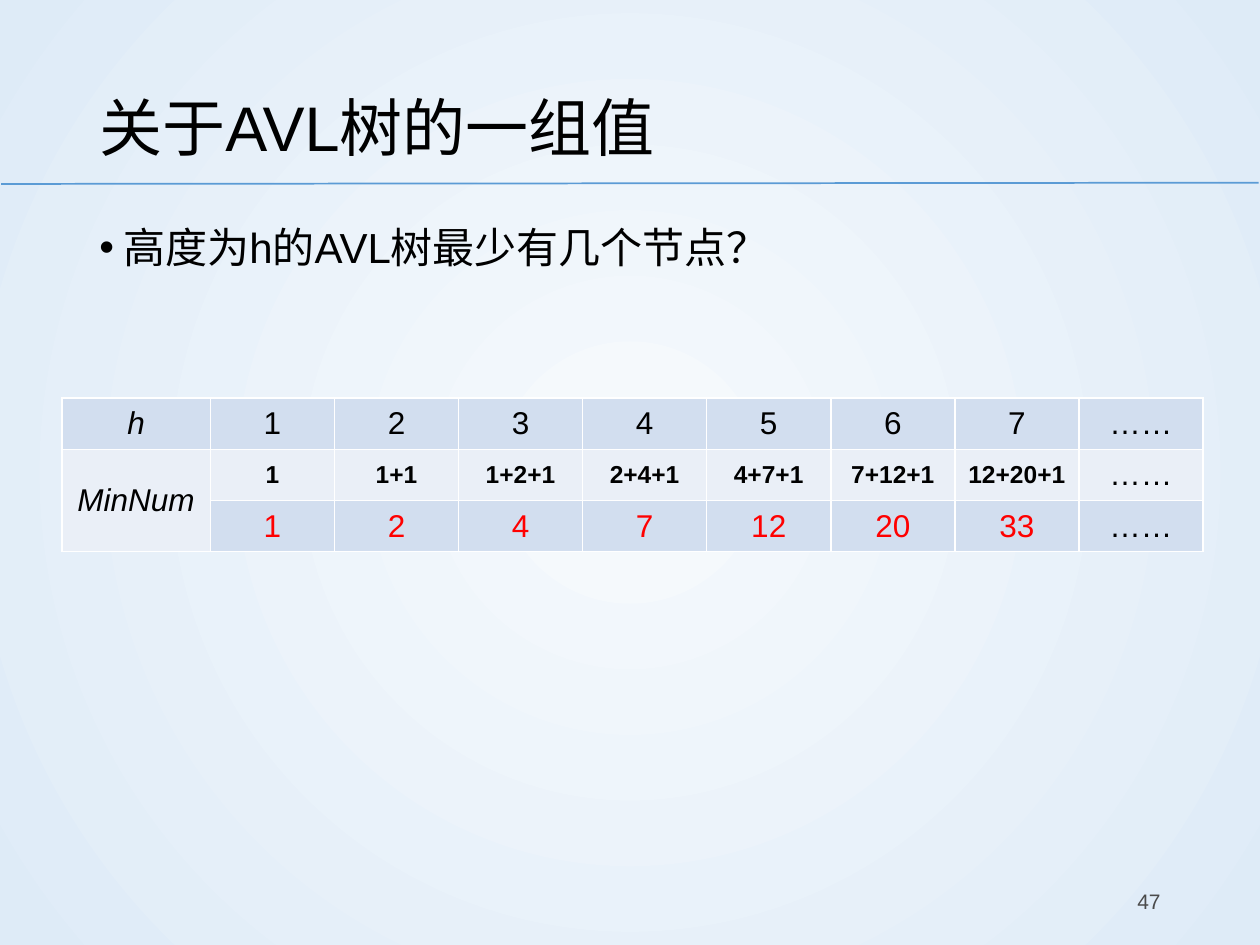
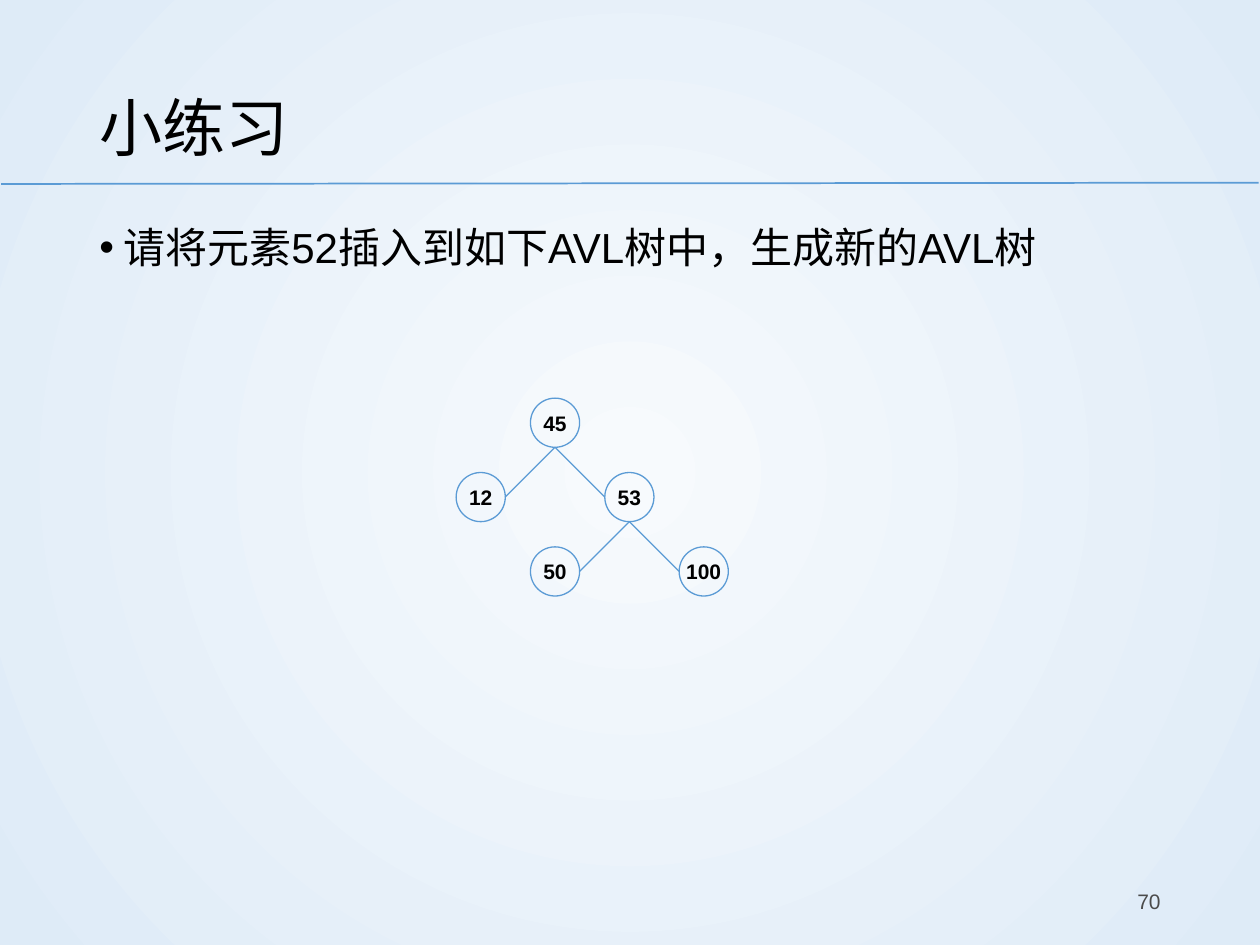
from lxml import etree
from pptx import Presentation
from pptx import util as u
from pptx.dml import color
from pptx.enum import shapes, text
from pptx.oxml import ns

FONT = "Arial"
BLACK, RED, GREY, WHITE, BLUE = "000000", "FF0000", "4B4B4B", "FFFFFF", "5B9BD5"
BAND_DARK, BAND_LIGHT = "D2DEEF", "EAEFF7"
BG_CENTRE, BG_EDGE = "F7FAFD", "DEEBF7"
ALIGN, ANCHOR = text.PP_ALIGN, text.MSO_ANCHOR

H_VALUES = ["1", "2", "3", "4", "5", "6", "7", "……"]
SUMS = ["1", "1+1", "1+2+1", "2+4+1", "4+7+1", "7+12+1", "12+20+1", "……"]
MIN_NODES = ["1", "2", "4", "7", "12", "20", "33", "……"]

TREE_NODES = {"45": (1, 0), "12": (0, 1), "53": (2, 1), "50": (1, 2), "100": (3, 2)}
TREE_EDGES = [("45", "12"), ("45", "53"), ("53", "50"), ("53", "100")]


def rgb(value):
    """Turn a hex string into a colour."""
    return color.RGBColor.from_string(value)


def sub(parent, tag, **attrs):
    """Append a DrawingML element to its parent."""
    return etree.SubElement(parent, ns.qn(tag), attrs)


def add_run(p, words, size, colour=BLACK, bold=False, italic=False):
    """Add one formatted run to a paragraph."""
    r = p.add_run()
    r.text = words
    r.font.name, r.font.size = FONT, u.Pt(size)
    r.font.bold, r.font.italic = bold, italic
    r.font.color.rgb = rgb(colour)


def add_text(s, box, words, size, anchor=ANCHOR.MIDDLE, align=ALIGN.LEFT, colour=BLACK,
             spacing=None, bullet=False):
    """Add a wrapped one-paragraph text box."""
    tf = s.shapes.add_textbox(*map(u.Inches, box)).text_frame
    tf.word_wrap, tf.vertical_anchor = True, anchor
    p = tf.paragraphs[0]
    p.alignment, p.line_spacing = align, spacing
    if bullet:
        pPr = p._p.get_or_add_pPr()
        pPr.set("marL", str(u.Inches(0.19)))
        pPr.set("indent", str(-u.Inches(0.19)))
        sub(pPr, "a:buFont", typeface=FONT)
        sub(pPr, "a:buChar", char="•")
    add_run(p, words, size, colour)


def add_line(s, start, end, width):
    """Draw a straight blue line without a shadow."""
    line = s.shapes.add_connector(shapes.MSO_CONNECTOR.STRAIGHT,
                                  *map(u.Inches, (*start, *end)))
    line.line.color.rgb, line.line.width = rgb(BLUE), u.Pt(width)
    sub(line._element.spPr, "a:effectLst")


def set_background(s):
    """Fill the slide with a circular gradient."""
    fill = s.background.fill
    fill.gradient()
    for stop, colour in zip(fill.gradient_stops, (BG_CENTRE, BG_EDGE)):
        stop.color.rgb = rgb(colour)
    grad = s.background._cSld.find(".//" + ns.qn("a:gradFill"))
    grad.remove(grad.find(ns.qn("a:lin")))
    path = sub(grad, "a:path", path="circle")
    sub(path, "a:fillToRect", l="50000", t="50000", r="50000", b="50000")


def add_base_slide(prs, title, bullet, number):
    """Add a slide with background, rule, title, bullet and page number."""
    s = prs.slides.add_slide(prs.slide_layouts[6])
    set_background(s)
    add_line(s, (0.01, 1.46), (9.99, 1.45), 1)
    add_text(s, (0.69, 0.4, 8.62, 1.08), title, 36, spacing=1.2)
    add_text(s, (0.69, 1.63, 8.62, 5.13), bullet, 24, ANCHOR.TOP, spacing=1.2, bullet=True)
    add_text(s, (7.06, 6.95, 2.25, 0.4), number, 12, align=ALIGN.RIGHT, colour=GREY)
    return s


def style_cell(cell, fill):
    """Give a cell white borders, a fill and a middle anchor."""
    tcPr = cell._tc.get_or_add_tcPr()
    for side in ("a:lnL", "a:lnR", "a:lnT", "a:lnB"):
        ln = sub(tcPr, side, w=str(u.Pt(1)))
        sub(sub(ln, "a:solidFill"), "a:srgbClr", val=WHITE)
    cell.fill.solid()
    cell.fill.fore_color.rgb = rgb(fill)
    cell.vertical_anchor = ANCHOR.MIDDLE


def add_min_table(s, box):
    """Add the table of the fewest nodes for each height."""
    x, y, w, h = box
    label_w = 1.18
    rows = [(["h"] + H_VALUES, BAND_DARK, {"size": 18}),
            (["MinNum"] + SUMS, BAND_LIGHT, {"size": 14, "bold": True}),
            ([""] + MIN_NODES, BAND_DARK, {"size": 18, "colour": RED})]
    table = s.shapes.add_table(len(rows), len(rows[0][0]), *map(u.Inches, box)).table
    table.first_row = table.horz_banding = False
    for i, column in enumerate(table.columns):
        column.width = u.Inches((w - label_w) / len(H_VALUES) if i else label_w)
    for i, (words, fill, value_style) in enumerate(rows):
        table.rows[i].height = u.Inches(h / len(rows))
        for j, word in enumerate(words):
            cell = table.cell(i, j)
            style_cell(cell, fill)
            if word:
                p = cell.text_frame.paragraphs[0]
                p.alignment = ALIGN.CENTER
                plain = j == 0 or word == "……"
                style = {"size": 18, "italic": j == 0} if plain else value_style
                add_run(p, word, **style)
    table.cell(1, 0).merge(table.cell(2, 0))


def add_node(s, x, y, size, key):
    """Draw one tree node with its key."""
    sp = s.shapes.add_shape(shapes.MSO_SHAPE.OVAL, *map(u.Inches, (x, y, size, size)))
    sp.shadow.inherit = False
    sp.fill.background()
    sp.line.color.rgb, sp.line.width = rgb(BLUE), u.Pt(0.75)
    tf = sp.text_frame
    tf.word_wrap, tf.vertical_anchor = False, ANCHOR.MIDDLE
    tf.margin_left = tf.margin_right = tf.margin_top = tf.margin_bottom = 0
    p = tf.paragraphs[0]
    p.alignment = ALIGN.CENTER
    add_run(p, key, 12, bold=True)


def add_tree(s, x, y, step=0.59, size=0.39):
    """Draw the AVL tree on a square grid."""
    spots = {key: (x + col * step, y + row * step) for key, (col, row) in TREE_NODES.items()}
    for key, (left, top) in spots.items():
        add_node(s, left, top, size, key)
    for parent, child in TREE_EDGES:
        (px, py), (cx, cy) = spots[parent], spots[child]
        side = cx if cx > px else cx + size
        add_line(s, (px + size / 2, py + size), (side, cy + size / 2), 0.75)


def main():
    """Build and save both slides."""
    prs = Presentation()
    prs.slide_width, prs.slide_height = u.Inches(10), u.Inches(7.5)
    s = add_base_slide(prs, "关于AVL树的一组值", "高度为h的AVL树最少有几个节点？", "47")
    add_min_table(s, (0.49, 3.16, 9.06, 1.22))
    s = add_base_slide(prs, "小练习", "请将元素52插入到如下AVL树中，生成新的AVL树", "70")
    add_tree(s, 3.62, 3.16)
    prs.save("out.pptx")


if __name__ == "__main__":
    main()
